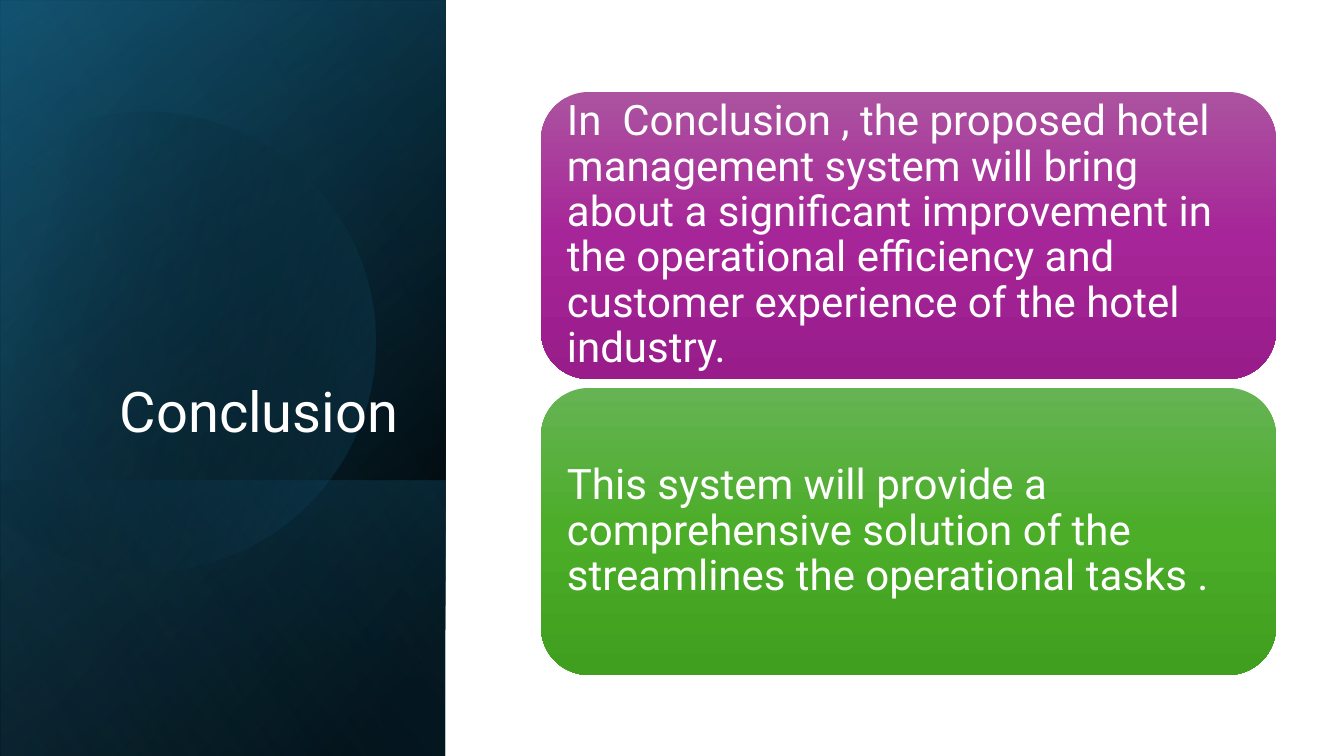
"""Builds the Conclusion slide: a dark gradient title panel beside two text cards."""
import math

from lxml import etree
from pptx import Presentation
from pptx import util as u
from pptx.dml.color import RGBColor
from pptx.enum import shapes, text
from pptx.oxml.ns import qn

SCALE = 914400 / 100.8
COLORS = {
    "black": "000000", "white": "FFFFFF", "navy": "104862", "teal": "156082", "sky": "46B1E1",
    "plum_top": "AC53A0", "plum_mid": "A62598", "plum_end": "991C8B",
    "leaf_top": "66B354", "leaf_mid": "4BAD28", "leaf_end": "409F1E",
}


def px(length):
    return u.Emu(round(length * SCALE))


def paint(shape, angle, stops):
    shape.shadow.inherit = False
    shape.line.fill.background()
    shape.fill.gradient()
    gradient = shape.fill._xPr.find(qn("a:gradFill"))
    stop_list = gradient.find(qn("a:gsLst"))
    for old_stop in list(stop_list):
        stop_list.remove(old_stop)
    for position, color, opacity in stops:
        stop = etree.SubElement(stop_list, qn("a:gs"), pos=str(position * 1000))
        tint = etree.SubElement(stop, qn("a:srgbClr"), val=COLORS[color])
        if opacity < 100:
            etree.SubElement(tint, qn("a:alpha"), val=str(opacity * 1000))
    gradient.find(qn("a:lin")).set("ang", str(angle * 60000))


deck = Presentation()
deck.slide_width, deck.slide_height = px(1344), px(756)
page = deck.slides.add_slide(deck.slide_layouts[6])

center_x, center_y, radius = 145, 337, 230
turns = [math.radians(turn) for turn in (-118, -90, 0, 90, 150)]
arc = [(math.cos(turns[0]), math.sin(turns[0]))]
for start, end in zip(turns, turns[1:]):
    pull = 4 / 3 * math.tan((end - start) / 4)
    arc += [
        (math.cos(start) - pull * math.sin(start), math.sin(start) + pull * math.cos(start)),
        (math.cos(end) + pull * math.sin(end), math.sin(end) - pull * math.cos(end)),
        (math.cos(end), math.sin(end)),
    ]
arc = [(round(center_x + radius * x), round(center_y + radius * y)) for x, y in arc]

full_panel = (-155, 156, 756, 445)
lower_panel = (85, 396, 276, 445)
layers = [
    (full_panel, 50, [(8, "black", 100), (100, "navy", 100)]),
    (full_panel, 30, [(0, "black", 0), (99, "teal", 46)]),
    (lower_panel, 130, [(2, "teal", 29), (100, "black", 30)]),
    ("disc", 30, [(29, "black", 0), (100, "teal", 43)]),
    (full_panel, 120, [(0, "black", 0), (99, "sky", 11)]),
]
for place, angle, stops in layers:
    if place == "disc":
        outline = page.shapes.build_freeform(*arc[0], scale=SCALE)
        outline.add_line_segments(arc[1:], close=True)
        layer = outline.convert_to_shape()
        layer.rotation = 343.9
        lines = list(layer._element.iter(qn("a:lnTo")))
        for first in range(0, len(arc) - 1, 3):
            curve = etree.Element(qn("a:cubicBezTo"))
            lines[first].addprevious(curve)
            for line in lines[first:first + 3]:
                curve.append(line[0])
                line.getparent().remove(line)
    else:
        layer = page.shapes.add_shape(shapes.MSO_SHAPE.RECTANGLE, *map(px, place))
        layer.rotation = 90
        layer._element.spPr.find(qn("a:xfrm")).set("flipH", "1")
    paint(layer, angle, stops)

title = page.shapes.add_textbox(*map(px, (64, 185, 344, 265)))
writings = [(title, "Conclusion", 40, text.PP_ALIGN.RIGHT, text.MSO_ANCHOR.BOTTOM)]

cards = [
    ("plum", "In  Conclusion , the proposed hotel management system will bring about a significant "
             "improvement in the operational efficiency and customer experience of the hotel industry."),
    ("leaf", "This system will provide a comprehensive solution of the streamlines "
             "the operational tasks ."),
]
for row, (hue, wording) in enumerate(cards):
    card = page.shapes.add_shape(shapes.MSO_SHAPE.ROUNDED_RECTANGLE,
                                 *map(px, (541, 92 + row * 296, 735, 287)))
    paint(card, 90, [(0, f"{hue}_top", 100), (50, f"{hue}_mid", 100), (100, f"{hue}_end", 100)])
    frame = card.text_frame
    frame.margin_left = frame.margin_right = frame.margin_top = frame.margin_bottom = px(12)
    writings.append((card, wording, 30, text.PP_ALIGN.LEFT, text.MSO_ANCHOR.MIDDLE))

for box, wording, size, alignment, anchor in writings:
    box.text_frame.word_wrap = True
    box.text_frame.vertical_anchor = anchor
    para = box.text_frame.paragraphs[0]
    para.alignment = alignment
    para.line_spacing = 0.9
    span = para.add_run()
    span.text = wording
    span.font.name = "Roboto"
    span.font.size = u.Pt(size)
    span.font.color.rgb = RGBColor.from_string(COLORS["white"])

deck.save("out.pptx")
